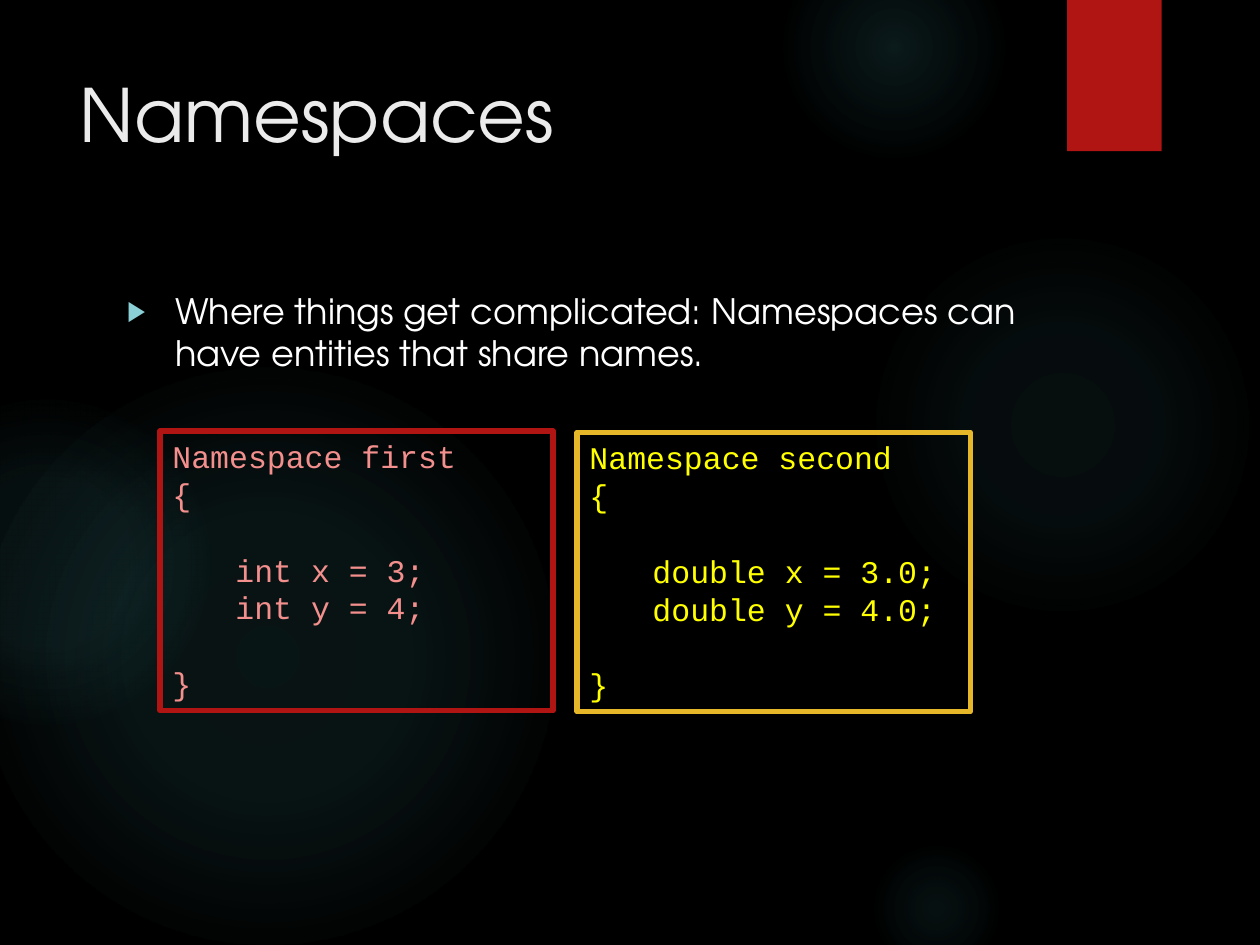
"""Build the Namespaces slide with its dark, glowing background."""
from pptx import Presentation
from pptx.dml.color import RGBColor
from pptx.enum.shapes import MSO_SHAPE
from pptx.enum.text import MSO_ANCHOR, MSO_AUTO_SIZE, PP_ALIGN
from pptx.oxml import parse_xml
from pptx.oxml.ns import nsdecls
from pptx.util import Inches, Pt


def color(value):
    return RGBColor.from_string(value)


def write(paragraph, text, font, size, fill):
    run = paragraph.add_run()
    run.text = text
    for name, value in {"name": font, "size": Pt(size)}.items():
        setattr(run.font, name, value)
    run.font.color.rgb = color(fill)
    paragraph.alignment = PP_ALIGN.LEFT


presentation = Presentation()
presentation.slide_width = Inches(10)
presentation.slide_height = Inches(7.5)
slide = presentation.slides.add_slide(presentation.slide_layouts[1])
slide.background.fill.solid()
slide.background.fill.fore_color.rgb = color("000000")
shapes = slide.shapes
title, body = shapes.title, slide.placeholders[1]

glows = [
    (6.89, 1.83, 3.08, [(0, 7), (36, 6), (69, 0)]),
    (6.22, -0.5, 1.75, [(0, 14), (36, 7), (73, 0)]),
    (6.89, 6.67, 1.08, [(0, 9), (36, 5), (66, 0)]),
    (-0.17, 2.92, 4.58, [(0, 11), (36, 10), (75, 0)]),
    (-0.92, 3.17, 2.58, [(0, 8), (36, 8), (72, 0)]),
]
for left, top, size, stops in glows:
    glow = shapes.add_shape(MSO_SHAPE.OVAL, Inches(left), Inches(top), Inches(size), Inches(size))
    glow.shadow.inherit = False
    glow.line.fill.background()
    stop_xml = "".join(
        f'<a:gs pos="{position * 1000}"><a:srgbClr val="50B9C1">'
        f'<a:alpha val="{alpha * 1000}"/></a:srgbClr></a:gs>'
        for position, alpha in stops
    )
    gradient = parse_xml(
        f'<a:gradFill {nsdecls("a")}><a:gsLst>{stop_xml}</a:gsLst><a:path path="circle">'
        '<a:fillToRect l="50000" t="50000" r="50000" b="50000"/></a:path></a:gradFill>'
    )
    glow._element.spPr.find("{*}prstGeom").addnext(gradient)

ribbon = shapes.add_shape(MSO_SHAPE.RECTANGLE, Inches(8.47), 0, Inches(0.75), Inches(1.2))
ribbon.fill.solid()
ribbon.fill.fore_color.rgb = color("B01513")
ribbon.line.fill.background()
ribbon._element.spPr.append(parse_xml(
    f'<a:effectLst {nsdecls("a")}><a:outerShdw blurRad="{Pt(3)}" dist="{Pt(2)}" dir="5400000">'
    '<a:srgbClr val="000000"><a:alpha val="45000"/></a:srgbClr></a:outerShdw></a:effectLst>'
))

placeholders = [
    (title, (0.53, 0.5, 7.72, 1.53), "Namespaces", 42, "EBEBEB"),
    (body, (0.91, 2.25, 7.34, 4.59),
     "Where things get complicated: Namespaces can have entities that share names.", 20, "FFFFFF"),
]
for placeholder, position, text, size, fill in placeholders:
    shapes._spTree.append(placeholder._element)
    for name, value in zip(("left", "top", "width", "height"), position):
        setattr(placeholder, name, Inches(value))
    frame = placeholder.text_frame
    frame.auto_size = MSO_AUTO_SIZE.NONE
    frame.vertical_anchor = MSO_ANCHOR.TOP
    write(frame.paragraphs[0], text, "TeX Gyre Adventor", size, fill)

bullet_paragraph = body.text_frame.paragraphs[0]
bullet_paragraph.space_before = Pt(10)
properties = bullet_paragraph._p.get_or_add_pPr()
properties.set("marL", str(Inches(0.38)))
properties.set("indent", str(Inches(-0.38)))
for bullet in ('buClr><a:srgbClr val="8AD0D6"/></a:buClr>', 'buSzPct val="80000"/>',
               'buFont typeface="Arial"/>', 'buChar char="▶"/>'):
    properties.append(parse_xml(bullet.join(["<a:", ""]).replace(" ", f' {nsdecls("a")} ', 1)
                                if not bullet.startswith("buClr")
                                else f'<a:buClr {nsdecls("a")}>' + bullet[6:]))

code_boxes = [
    (1.27, 3.42, "B01513", "F38F8D", "first", "int", ("3", "4")),
    (4.58, 3.43, "E6B729", "FFFF00", "second", "double", ("3.0", "4.0")),
]
for left, top, border, fill, name, kind, (x, y) in code_boxes:
    box = shapes.add_shape(MSO_SHAPE.RECTANGLE, Inches(left), Inches(top), Inches(3.12), Inches(2.22))
    box.shadow.inherit = False
    box.fill.background()
    box.line.color.rgb = color(border)
    box.line.width = Pt(3)
    frame = box.text_frame
    frame.word_wrap = True
    frame.vertical_anchor = MSO_ANCHOR.TOP
    lines = [(f"Namespace {name}", 0, 0), ("{", 0, 0), (f"{kind} x = {x};", 0.5, 21.6),
             (f"{kind} y = {y};", 0.5, 0), ("}", 0, 21.6)]
    for number, (text, indent, gap) in enumerate(lines):
        paragraph = frame.add_paragraph() if number else frame.paragraphs[0]
        write(paragraph, text, "Courier New", 18, fill)
        paragraph.line_spacing = Pt(21.6)
        paragraph.space_before = Pt(gap)
        paragraph._p.get_or_add_pPr().set("marL", str(Inches(indent)))

presentation.save("out.pptx")
